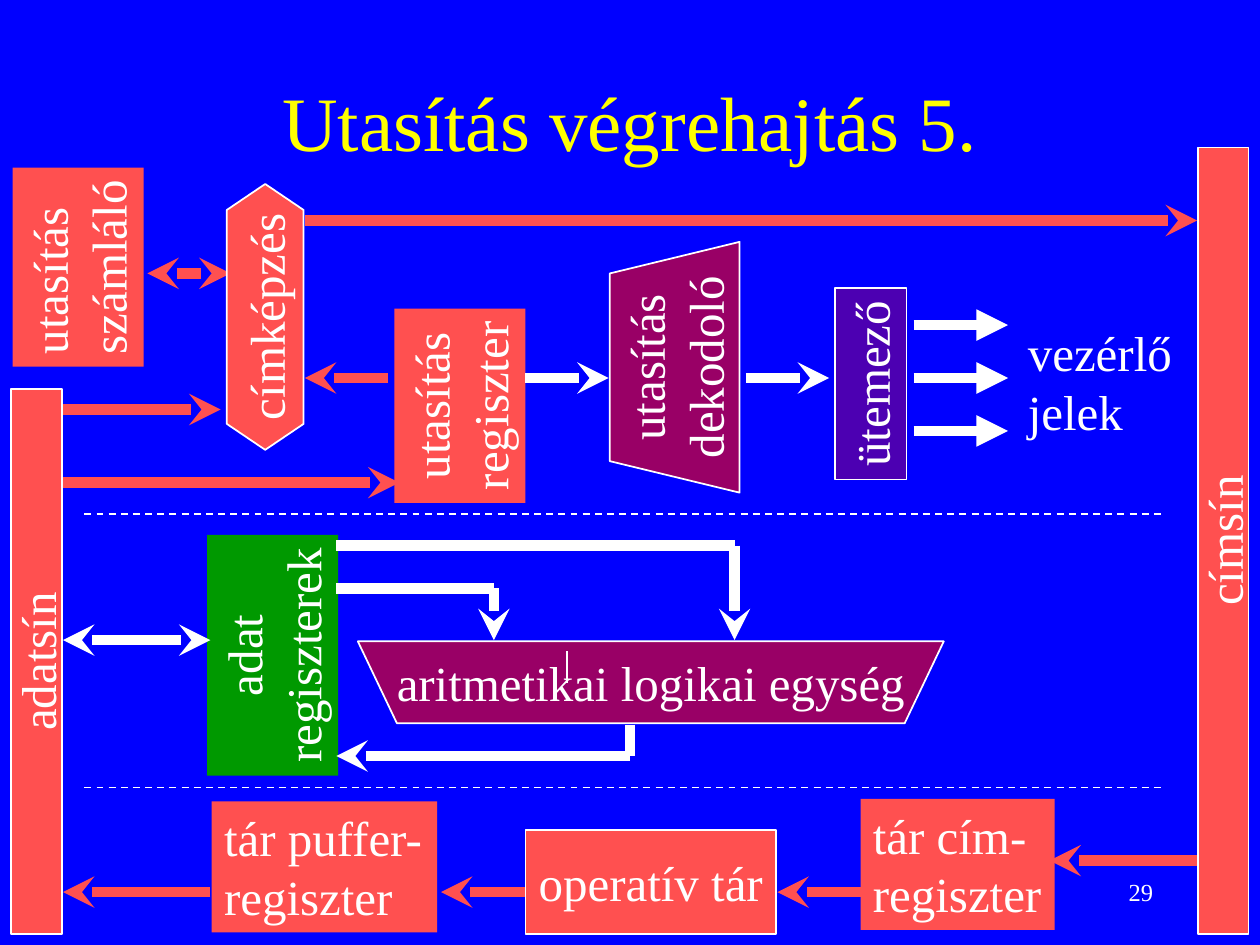
from lxml import etree
from pptx import Presentation
from pptx.dml.color import RGBColor
from pptx.enum import dml, shapes, text
from pptx.oxml import ns
from pptx.util import Inches, Pt

THEME = {
    "font": "Times New Roman",
    "title_size": 44, "body_size": 28, "number_size": 14,
    "thin": 1, "thick": 6,
    "background": "0000FF", "title": "FFFF00", "white": "FFFFFF",
    "red": "FF5050", "purple": "990066", "green": "009900",
}
LEFT, CENTER, RIGHT = text.PP_ALIGN.LEFT, text.PP_ALIGN.CENTER, text.PP_ALIGN.RIGHT
TOP, MIDDLE = text.MSO_ANCHOR.TOP, text.MSO_ANCHOR.MIDDLE
UPWARD = 270

TITLE = "Utasítás végrehajtás 5."
TITLE_BOX = (0.75, 0.33, 8.5, 1.25)
PAGE_NUMBER = "29"
PAGE_NUMBER_BOX = (7.17, 6.83, 2.08, 0.5)
SIGNALS = "vezérlő\njelek"
SIGNALS_BOX = (8.06, 2.51, 1.34, 1.04)

# text, box, rotation, fill, outlined, alignment, anchor
BOXES = [
    ("utasítás\nszámláló", (-0.17, 1.6, 1.58, 1.04), UPWARD, "red", False, LEFT, TOP),
    ("utasítás\nregiszter", (2.88, 2.7, 1.54, 1.04), UPWARD, "red", False, CENTER, TOP),
    ("ütemező", (6.15, 2.76, 1.52, 0.57), UPWARD, "purple", True, CENTER, TOP),
    ("adat\nregiszterek", (1.21, 4.68, 1.91, 1.04), UPWARD, "green", False, CENTER, TOP),
    ("tár puffer-\nregiszter", (1.68, 6.36, 1.79, 1.04), 0, "red", False, LEFT, TOP),
    ("tár cím-\nregiszter", (6.83, 6.34, 1.54, 1.04), 0, "red", False, LEFT, TOP),
    ("címsín", (6.59, 4.09, 6.24, 0.4), UPWARD, "red", True, CENTER, MIDDLE),
    ("adatsín", (-1.87, 5.05, 4.32, 0.4), UPWARD, "red", True, CENTER, MIDDLE),
    ("operatív tár", (4.17, 6.59, 1.99, 0.82), 0, "red", True, CENTER, MIDDLE),
]
TRANSLUCENT = {"ütemező": 50}

# text, box, rotation, inset of the top corners, inset of the bottom corners
TRAPEZOIDS = [
    ("utasítás\ndekodoló", (4.36, 2.4, 1.99, 1.03), UPWARD, 0.25, 0),
    ("aritmetikai logikai egység", (2.84, 5.09, 4.65, 0.65), 0, 0, 0.31),
]
ADDRESSING = ("címképzés", (1.05, 2.21, 2.11, 0.61))
ADDRESSING_POINT = 0.338

# colour, arrowhead at start, arrowhead at end, lines
FLOWS = [
    ("red", None, "stealth", [
        (2.42, 1.75, 9.5, 1.75), (0.5, 3.25, 1.75, 3.25), (0.5, 3.83, 3.17, 3.83),
        (3.08, 3, 2.42, 3), (9.5, 6.83, 8.33, 6.83), (6.83, 7.08, 6.17, 7.08),
        (4.17, 7.08, 3.5, 7.08), (1.67, 7.08, 0.5, 7.08)]),
    ("red", "stealth", "stealth", [(1.83, 2.17, 1.17, 2.17)]),
    ("white", "stealth", "stealth", [(1.67, 5.08, 0.5, 5.08)]),
    ("white", None, "stealth", [
        (4.17, 3, 4.83, 3), (5.92, 3, 6.58, 3), (3.92, 4.67, 3.92, 5.08),
        (5.83, 4.33, 5.83, 5.08), (5, 6, 2.67, 6)]),
    ("white", None, "triangle", [(7.25, y, 8, y) for y in (2.58, 3, 3.42)]),
    ("white", None, None, [
        (2.67, 4.67, 3.92, 4.67), (2.67, 4.33, 5.83, 4.33), (5, 5.75, 5, 6)]),
]
DIVIDERS = [(0.67, y, 9.25, y) for y in (4.08, 6.25)]
CURSOR = (4.5, 5.17, 4.5, 5.42)


def color(name):
    return RGBColor.from_string(THEME[name])


def write(shape, content, size="body_size", tone="white", alignment=CENTER,
          anchor=MIDDLE, wrap=False):
    frame = shape.text_frame
    frame.text = content
    frame.word_wrap = wrap
    frame.vertical_anchor = anchor
    for paragraph in frame.paragraphs:
        paragraph.alignment = alignment
        for run in paragraph.runs:
            run.font.name = THEME["font"]
            run.font.size = Pt(THEME[size])
            run.font.color.rgb = color(tone)


def paint(shape, fill, outlined, rotation):
    shape.shadow.inherit = False
    shape.rotation = rotation
    shape.fill.solid()
    shape.fill.fore_color.rgb = color(fill)
    if outlined:
        shape.line.color.rgb = color("white")
        shape.line.width = Pt(THEME["thin"])
    else:
        shape.line.fill.background()


def add_box(slide, kind, box):
    return slide.shapes.add_shape(kind, *map(Inches, box))


def add_label(slide, content, box, **style):
    write(slide.shapes.add_textbox(*map(Inches, box)), content, **style)


def add_trapezoid(slide, box, top_inset, bottom_inset):
    left, top, width, height = box
    right, bottom = left + width, top + height
    corners = [(left + top_inset, top), (right - top_inset, top),
               (right - bottom_inset, bottom), (left + bottom_inset, bottom)]
    points = [(Inches(x), Inches(y)) for x, y in corners]
    builder = slide.shapes.build_freeform(*points[0], scale=1.0)
    builder.add_line_segments(points[1:], close=True)
    return builder.convert_to_shape()


def add_line(slide, ends, tone="white", width="thin", head=None, tail=None, dashed=False):
    line = slide.shapes.add_connector(shapes.MSO_CONNECTOR.STRAIGHT, *map(Inches, ends))
    line.line.color.rgb = color(tone)
    line.line.width = Pt(THEME[width])
    if dashed:
        line.line.dash_style = dml.MSO_LINE.DASH
    properties = line.element.spPr
    outline = properties.find(ns.qn("a:ln"))
    for tag, arrow in (("a:headEnd", head), ("a:tailEnd", tail)):
        if arrow:
            etree.SubElement(outline, ns.qn(tag), type=arrow)
    etree.SubElement(properties, ns.qn("a:effectLst"))


def main():
    presentation = Presentation()
    presentation.slide_width, presentation.slide_height = Inches(10), Inches(7.5)
    slide = presentation.slides.add_slide(presentation.slide_layouts[5])
    slide.background.fill.solid()
    slide.background.fill.fore_color.rgb = color("background")

    title = slide.shapes.title
    title.left, title.top, title.width, title.height = map(Inches, TITLE_BOX)
    write(title, TITLE, size="title_size", tone="title", wrap=True)

    for content, box, rotation, fill, outlined, alignment, anchor in BOXES:
        shape = add_box(slide, shapes.MSO_SHAPE.RECTANGLE, box)
        paint(shape, fill, outlined, rotation)
        write(shape, content, alignment=alignment, anchor=anchor)
        if content in TRANSLUCENT:
            tint = shape.element.spPr.find(ns.qn("a:solidFill"))[0]
            etree.SubElement(tint, ns.qn("a:alpha"), val=str(TRANSLUCENT[content] * 1000))

    for content, box, rotation, top_inset, bottom_inset in TRAPEZOIDS:
        shape = add_trapezoid(slide, box, top_inset, bottom_inset)
        paint(shape, "purple", True, rotation)
        write(shape, content)

    for tone, head, tail, lines in FLOWS:
        for ends in lines:
            add_line(slide, ends, tone, "thick", head, tail)
    for ends in DIVIDERS:
        add_line(slide, ends, dashed=True)
    add_line(slide, CURSOR)

    content, box = ADDRESSING
    hexagon = add_box(slide, shapes.MSO_SHAPE.HEXAGON, box)
    hexagon.adjustments[0] = ADDRESSING_POINT
    paint(hexagon, "red", True, UPWARD)
    write(hexagon, content)

    add_label(slide, SIGNALS, SIGNALS_BOX, alignment=LEFT, anchor=TOP)
    add_label(slide, PAGE_NUMBER, PAGE_NUMBER_BOX, size="number_size",
              alignment=RIGHT, wrap=True)
    presentation.save("out.pptx")


if __name__ == "__main__":
    main()
